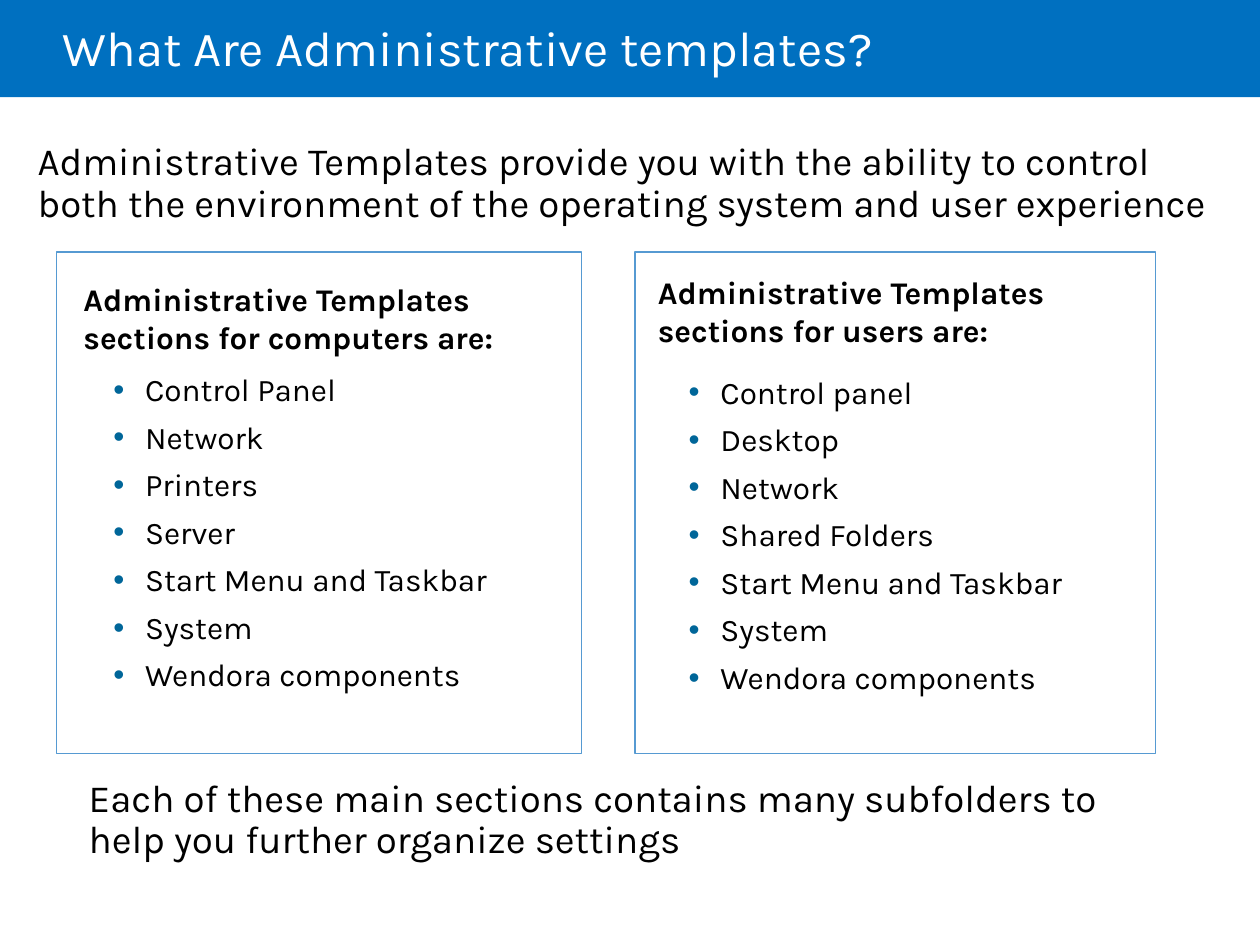
"""Build the slide that explains administrative templates."""
from dataclasses import dataclass

import pptx
import pptx.dml.color
import pptx.enum.shapes
import pptx.enum.text
import pptx.oxml
import pptx.oxml.ns
import pptx.util
from pptx.util import Cm

COLORS = {
    "band": "0070C0",
    "title": "FFFFFF",
    "text": "000000",
    "bullet": "006699",
    "frame": "569AD2",
}
FONT = "Karla"
SHAPE = pptx.enum.shapes.MSO_SHAPE
MIDDLE = pptx.enum.text.MSO_ANCHOR.MIDDLE
TOP = pptx.enum.text.MSO_ANCHOR.TOP


@dataclass
class Box:
    """Position and size in centimetres."""
    left: float
    top: float
    width: float
    height: float


@dataclass
class Section:
    """A framed column with a heading and a bulleted list."""
    frame: Box
    heading_box: Box
    heading: list[str]
    list_box: Box
    items: list[str]


SECTIONS = [
    Section(
        Box(1.14, 5.08, 10.59, 10.11),
        Box(1.32, 5.41, 10.72, 9.73),
        ["Administrative Templates", "sections for computers are:"],
        Box(1.96, 7.54, 9.35, 6.45),
        ["Control Panel", "Network", "Printers", "Server",
         "Start Menu and Taskbar", "System", "Wendora components"],
    ),
    Section(
        Box(12.8, 5.08, 10.49, 10.11),
        Box(12.9, 5.26, 11.02, 9.73),
        ["Administrative Templates", "sections for users are:"],
        Box(13.56, 7.59, 9.73, 6.45),
        ["Control panel", "Desktop", "Network", "Shared Folders",
         "Start Menu and Taskbar", "System", "Wendora components"],
    ),
]
STATEMENTS = [
    (Box(0.48, 2.54, 24.38, 2.34),
     "Administrative Templates provide you with the ability to control both "
     "the environment of the operating system and user experience"),
    (Box(1.52, 15.67, 22.33, 1.75),
     "Each of these main sections contains many subfolders to help you "
     "further organize settings"),
]


def rgb(name: str) -> pptx.dml.color.RGBColor:
    """Return a named colour."""
    return pptx.dml.color.RGBColor.from_string(COLORS[name])


def add_box(s, kind, box: Box, fill: str = "", line: str = ""):
    """Draw a preset shape with an optional fill and outline."""
    sp = s.shapes.add_shape(
        kind, Cm(box.left), Cm(box.top), Cm(box.width), Cm(box.height))
    sp.shadow.inherit = False
    if fill:
        sp.fill.solid()
        sp.fill.fore_color.rgb = rgb(fill)
    else:
        sp.fill.background()
    if line:
        sp.line.color.rgb = rgb(line)
        sp.line.width = pptx.util.Pt(0.75)
    else:
        sp.line.fill.background()
    return sp


def add_round_box(s, box: Box):
    """Draw an unpainted rounded box for text."""
    sp = add_box(s, SHAPE.ROUNDED_RECTANGLE, box)
    sp.adjustments[0] = 0.04
    return sp


def set_frame(tf, anchor, inset: float = 0.13, wrap: bool = True) -> None:
    """Set anchoring, vertical insets and wrapping of a text frame."""
    tf.vertical_anchor = anchor
    tf.margin_top = tf.margin_bottom = Cm(inset)
    tf.margin_left = tf.margin_right = Cm(0.25)
    tf.word_wrap = wrap


def set_paragraph(p, line: float = 1, before: float = 0) -> None:
    """Align a paragraph left and set its spacing."""
    p.alignment = pptx.enum.text.PP_ALIGN.LEFT
    p.line_spacing = line
    p.space_before = pptx.util.Pt(before)


def add_run(p, text: str, size: float, color: str = "text",
            bold: bool = False) -> None:
    """Add a formatted run."""
    r = p.add_run()
    r.text = text
    r.font.name = FONT
    r.font.size = pptx.util.Pt(size)
    r.font.bold = bold
    r.font.color.rgb = rgb(color)


def add_bullet(p) -> None:
    """Give a paragraph a coloured bullet with a hanging indent."""
    pPr = p._p.get_or_add_pPr()
    pPr.set("marL", str(Cm(0.64)))
    pPr.set("indent", str(Cm(-0.64)))
    ns = pptx.oxml.ns.nsdecls("a")
    for xml in (
        f'<a:buClr {ns}><a:srgbClr val="{COLORS["bullet"]}"/></a:buClr>',
        f'<a:buFont {ns} typeface="Arial"/>',
        f'<a:buChar {ns} char="•"/>',
    ):
        pPr.append(pptx.oxml.parse_xml(xml))


def add_title(s, text: str) -> None:
    """Draw the title on its band."""
    add_box(s, SHAPE.RECTANGLE, Box(0, 0, 25.4, 1.96), fill="band")
    tf = s.shapes.add_textbox(Cm(1.27), 0, Cm(21.59), Cm(2.06)).text_frame
    set_frame(tf, MIDDLE)
    tf.margin_left = 0
    p = tf.paragraphs[0]
    set_paragraph(p, line=0.85)
    add_run(p, text, 28, "title")


def add_statement(s, box: Box, text: str) -> None:
    """Draw a full-width statement."""
    tf = add_round_box(s, box).text_frame
    set_frame(tf, MIDDLE, inset=0.25)
    p = tf.paragraphs[0]
    set_paragraph(p, line=0.9)
    add_run(p, text, 22)


def add_section(s, section: Section) -> None:
    """Draw a section's frame, heading and list."""
    add_box(s, SHAPE.RECTANGLE, section.frame, line="frame")
    tf = add_round_box(s, section.heading_box).text_frame
    set_frame(tf, TOP)
    p = tf.paragraphs[0]
    set_paragraph(p, before=7.7)
    for i, text in enumerate(section.heading):
        if i:
            p.add_line_break()
        add_run(p, text, 18, bold=True)
    tf = add_round_box(s, section.list_box).text_frame
    set_frame(tf, MIDDLE, wrap=False)
    for i, item in enumerate(section.items):
        p = tf.add_paragraph() if i else tf.paragraphs[0]
        set_paragraph(p, line=0.9, before=7.7)
        add_bullet(p)
        add_run(p, item, 18)


def main() -> None:
    """Build and save the slide."""
    prs = pptx.Presentation()
    prs.slide_width, prs.slide_height = Cm(25.4), Cm(19.05)
    s = prs.slides.add_slide(prs.slide_layouts[6])
    add_title(s, "What Are Administrative templates?")
    for section in SECTIONS:
        add_section(s, section)
    for box, text in STATEMENTS:
        add_statement(s, box, text)
    prs.save("out.pptx")


if __name__ == "__main__":
    main()
